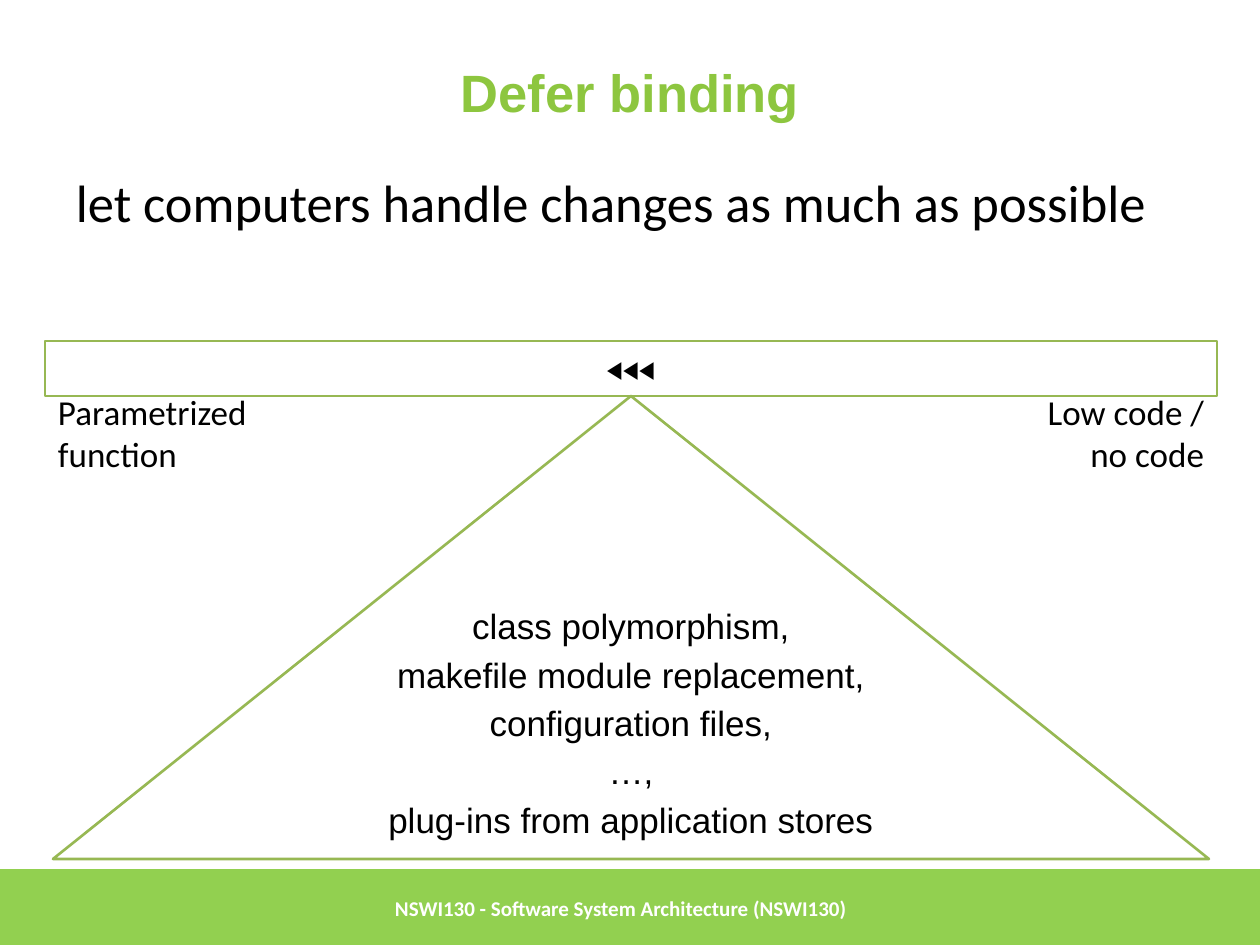
from lxml import etree
from pptx import Presentation
from pptx.dml.color import RGBColor
from pptx.enum.shapes import MSO_SHAPE
from pptx.enum.text import MSO_ANCHOR, PP_ALIGN
from pptx.oxml.ns import qn
from pptx.util import Emu, Pt

PX_PER_INCH = 126
LEFT, CENTER, RIGHT = PP_ALIGN.LEFT, PP_ALIGN.CENTER, PP_ALIGN.RIGHT
TOP, MIDDLE = MSO_ANCHOR.TOP, MSO_ANCHOR.MIDDLE
RECTANGLE, TRIANGLE = MSO_SHAPE.RECTANGLE, MSO_SHAPE.ISOSCELES_TRIANGLE

TITLE_GREEN = RGBColor(0x8D, 0xC6, 0x3F)
FOOTER_GREEN = RGBColor(0x92, 0xD0, 0x50)
OUTLINE_GREEN = RGBColor(0x97, 0xB8, 0x53)
BLACK = RGBColor(0, 0, 0)
WHITE = RGBColor(0xFF, 0xFF, 0xFF)


def px(length):
    return Emu(round(length * 914400 / PX_PER_INCH))


def write(holder, lines, size, font, color=BLACK, bold=False, align=LEFT,
          anchor=MIDDLE, insets=(13, 13, 13, 13), spacing=None):
    """Fill a shape with one paragraph per line; insets are left, top, right, bottom."""
    frame = holder.text_frame
    frame.word_wrap = True
    frame.vertical_anchor = anchor
    (frame.margin_left, frame.margin_top,
     frame.margin_right, frame.margin_bottom) = map(px, insets)
    frame.text = "\n".join(lines)
    for paragraph in frame.paragraphs:
        paragraph.alignment = align
        if spacing:
            paragraph.line_spacing = spacing
        paragraph.font.size = Pt(size)
        paragraph.font.name = font
        paragraph.font.bold = bold
        paragraph.font.color.rgb = color


def add_text(slide, box, lines, size, **style):
    holder = slide.shapes.add_textbox(*map(px, box))
    write(holder, lines, size, "Calibri", **style)
    return holder


def add_outline(slide, preset, box):
    outline = slide.shapes.add_shape(preset, *map(px, box))
    outline.shadow.inherit = False
    outline.fill.background()
    outline.line.color.rgb = OUTLINE_GREEN
    outline.line.width = Pt(1.5)
    return outline


def add_bullet(paragraph, symbol, indent):
    properties = paragraph._p.get_or_add_pPr()
    properties.set("marL", str(px(indent)))
    properties.set("indent", str(-px(indent)))
    color = etree.SubElement(properties, qn("a:buClr"))
    etree.SubElement(color, qn("a:srgbClr"), val=str(TITLE_GREEN))
    etree.SubElement(properties, qn("a:buFont"), typeface="Arial")
    etree.SubElement(properties, qn("a:buChar"), char=symbol)


def add_footer(slide, left, top, width, height):
    band = slide.shapes.add_shape(RECTANGLE, *map(px, (left, top, width, height)))
    band.shadow.inherit = False
    band.fill.solid()
    band.fill.fore_color.rgb = FOOTER_GREEN
    band.line.fill.background()
    add_text(slide, (left + 382, top, 759, height),
             ["NSWI130 - Software System Architecture (NSWI130)"], 12,
             color=WHITE, bold=True, insets=(13, 6, 13, 6))


def place_title(slide, left, top, width, height):
    title = slide.shapes.title
    title.left, title.top, title.width, title.height = map(px, (left, top, width, height))
    write(title, ["Defer binding"], 30, "Arial", TITLE_GREEN, bold=True,
          align=CENTER, insets=(13, 6, 13, 6))


def add_statement(slide, left, top, width, height):
    statement = slide.shapes.add_textbox(*map(px, (left, top, width, height)))
    add_bullet(statement.text_frame.paragraphs[0], "❑", 48)
    write(statement, ["let computers handle changes as much as possible"], 30,
          "Calibri", anchor=TOP, insets=(13, 6, 13, 6), spacing=1.15)


def add_balance(slide, left, top, width, height):
    """A beam with a label under each end, resting on a triangle."""
    beam_height, label_height, triangle_inset = 55, 73, 8
    low_code_width = 193
    below = top + beam_height

    beam = add_outline(slide, RECTANGLE, (left, top, width, beam_height))
    write(beam, ["◀◀◀"], 14, "Arial", align=CENTER)

    add_text(slide, (left, below, 220, label_height), ["Parametrized function"], 20)
    add_text(slide, (left + width - low_code_width, below, low_code_width, label_height),
             ["Low code / no code"], 20, align=RIGHT)

    triangle = add_outline(slide, TRIANGLE, (
        left + triangle_inset, below, width - 2 * triangle_inset, height - beam_height))
    write(triangle, ["class polymorphism,", "makefile module replacement,",
                     "configuration files,", "…,", "plug-ins from application stores"],
          20, "Arial", align=CENTER, insets=(13, 13, 13, 61), spacing=1.15)


def main():
    deck = Presentation()
    deck.slide_width, deck.slide_height = px(1260), px(945)
    slide = deck.slides.add_slide(deck.slide_layouts[5])
    add_footer(slide, 0, 869, 1260, 79)
    place_title(slide, 63, 38, 1134, 107)
    add_statement(slide, 63, 155, 1134, 176)
    add_balance(slide, 45, 341, 1172, 518)
    deck.save("out.pptx")


if __name__ == "__main__":
    main()
